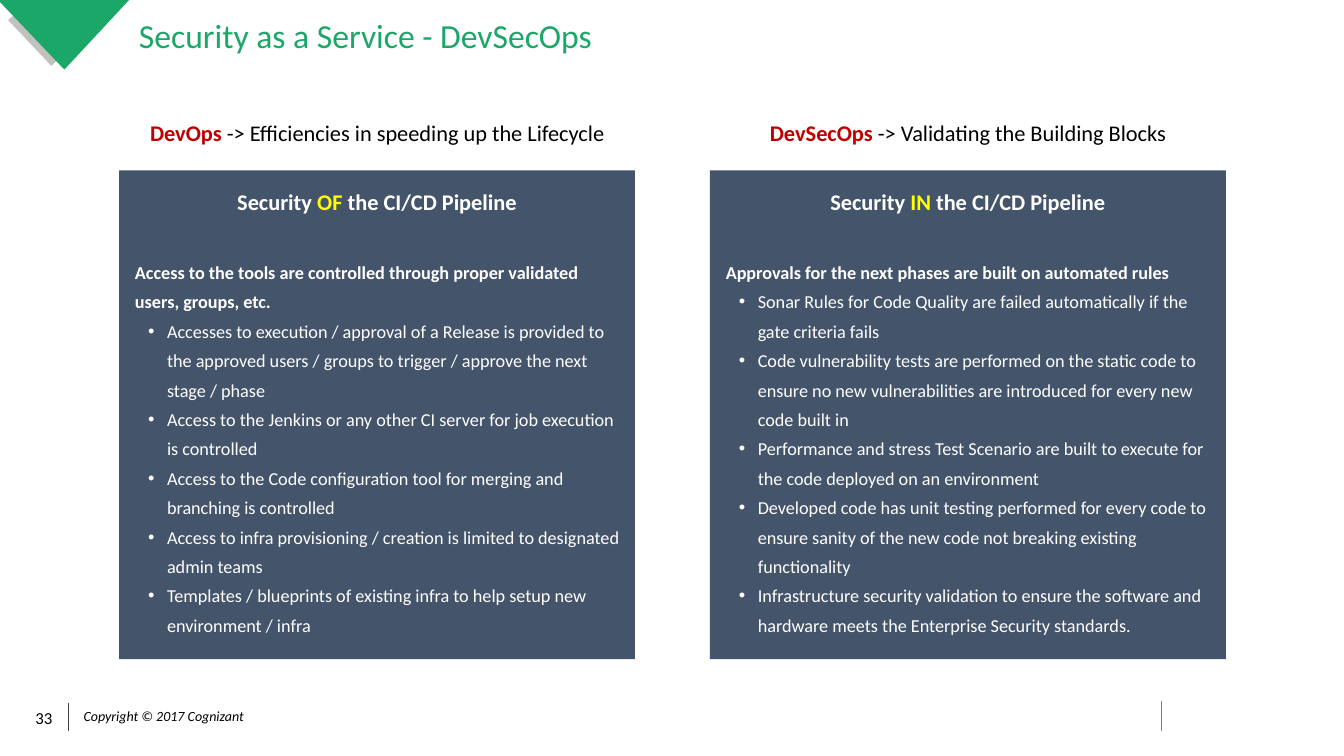
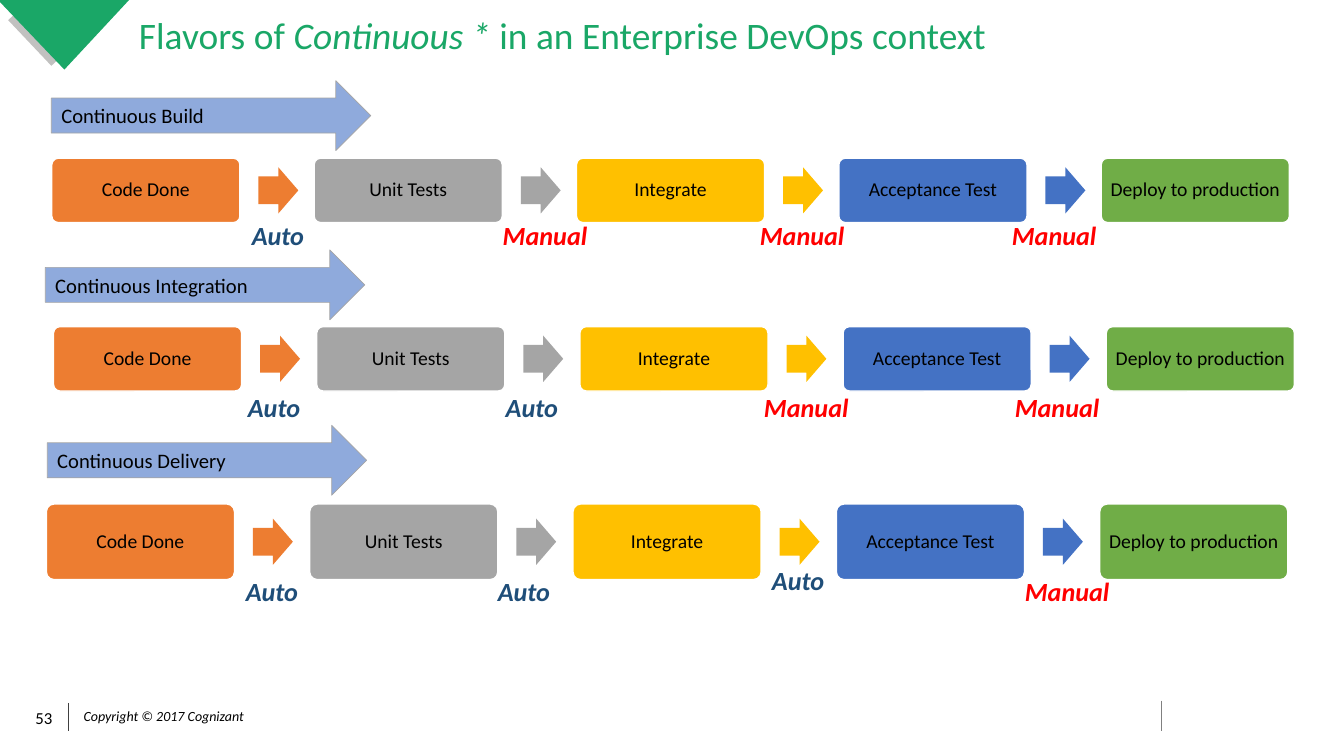
from dataclasses import dataclass

from lxml import etree
from pptx import Presentation
from pptx import util as u
from pptx.dml.color import RGBColor
from pptx.enum import shapes, text
from pptx.oxml.ns import qn

Pt = u.Pt
SHAPE = shapes.MSO_SHAPE
ALIGN = text.PP_ALIGN
ANCHOR = text.MSO_ANCHOR


@dataclass(frozen=True)
class Theme:
    font: str = "Calibri"
    # Colours
    green: str = "1AA767"
    shade: str = "C1C1C0"
    black: str = "000000"
    white: str = "FFFFFF"
    panel: str = "44546A"
    yellow: str = "FFFF00"
    crimson: str = "C00000"
    banner: str = "8FAADC"
    banner_line: str = "A5A5A5"
    auto: str = "1F4E79"
    manual: str = "FF0000"
    rule_left: str = "404040"
    rule_right: str = "808080"
    # Type sizes
    title: float = 24
    title_large: float = 26.7
    heading: float = 16
    body: float = 13
    stage: float = 14
    banner_text: float = 14.7
    label: float = 18.7
    page: float = 12
    copyright: float = 10


T = Theme()

STAGES = [
    ("Code Done", "ED7D31"),
    ("Unit Tests", "A5A5A5"),
    ("Integrate", "FFC000"),
    ("Acceptance Test", "4472C4"),
    ("Deploy to production", "70AD47"),
]

PANELS = [
    (85, "DevOps", " -> Efficiencies in speeding up the Lifecycle", "OF",
     "Access to the tools are controlled through proper validated users, groups, etc.",
     ["Accesses to execution / approval of a Release is provided to the approved "
      "users / groups to trigger / approve the next stage / phase",
      "Access to the Jenkins or any other CI server for job execution is controlled",
      "Access to the Code configuration tool for merging and branching is controlled",
      "Access to infra provisioning / creation is limited to designated admin teams",
      "Templates / blueprints of existing infra to help setup new environment / infra"]),
    (507, "DevSecOps", " -> Validating the Building Blocks", "IN",
     "Approvals for the next phases are built on automated rules",
     ["Sonar Rules for Code Quality are failed automatically if the gate criteria fails",
      "Code vulnerability tests are performed on the static code to ensure no new "
      "vulnerabilities are introduced for every new code built in",
      "Performance and stress Test Scenario are built to execute for the code "
      "deployed on an environment",
      "Developed code has unit testing performed for every code to ensure sanity of "
      "the new code not breaking existing functionality",
      "Infrastructure security validation to ensure the software and hardware meets "
      "the Enterprise Security standards."]),
]

# Banner text and corner; stage row left, top, height and pitch; labels with their corners
FLOWS = [
    ("Continuous Build", (36.7, 57.6), (37, 113, 46, 187.4),
     [("Auto", 172.8, 153.4), ("Manual", 352, 153.4),
      ("Manual", 535.7, 153.4), ("Manual", 715.7, 153.4)]),
    ("Continuous Integration", (32.4, 178.5), (38.2, 233.3, 46, 188),
     [("Auto", 170, 275.8), ("Auto", 354.2, 275.8),
      ("Manual", 538.6, 275.8), ("Manual", 717.8, 275.8)]),
    ("Continuous Delivery", (33.8, 303.8), (33.1, 360, 54, 188.1),
     [("Auto", 168.5, 407.5), ("Auto", 348.5, 407.5),
      ("Auto", 544.3, 399.6), ("Manual", 725, 407.5)]),
]


def rgb(color):
    return RGBColor.from_string(color)


# Text
def write(tf, content, *, size, color=T.black, bold=False, italic=False,
          align=ALIGN.LEFT, spacing=None, before=None, left=0, hanging=0, bullet=None):
    """Add a paragraph; content is a string or (text, overrides) pairs."""
    p = tf.paragraphs[0]
    if p.runs:
        p = tf.add_paragraph()
    pPr = p._p.get_or_add_pPr()
    if left:
        pPr.set("marL", str(Pt(left)))
        pPr.set("indent", str(Pt(-hanging)))
    if bullet:
        etree.SubElement(pPr, qn("a:buFont")).set("typeface", "Arial")
        etree.SubElement(pPr, qn("a:buChar")).set("char", bullet)
    p.alignment = align
    if spacing:
        p.line_spacing = spacing
    if before:
        p.space_before = Pt(before)
    for words, changes in [(content, {})] if isinstance(content, str) else content:
        look = {"color": color, "bold": bold, "italic": italic, **changes}
        r = p.add_run()
        r.text = words
        r.font.name = T.font
        r.font.size = Pt(size)
        r.font.bold = look["bold"]
        r.font.italic = look["italic"]
        r.font.color.rgb = rgb(look["color"])


def set_frame(tf, anchor, inset):
    tf.word_wrap = True
    tf.vertical_anchor = anchor
    tf.margin_left = tf.margin_right = Pt(inset[0])
    tf.margin_top = tf.margin_bottom = Pt(inset[1])


def add_text(s, box, content, *, anchor=ANCHOR.TOP, inset=(7.2, 3.6), **fmt):
    tf = s.shapes.add_textbox(*map(Pt, box)).text_frame
    set_frame(tf, anchor, inset)
    write(tf, content, **fmt)


# Shapes
def paint(sp, fill, line=None, width=1):
    sp.shadow.inherit = False
    sp.fill.solid()
    sp.fill.fore_color.rgb = rgb(fill)
    if line:
        sp.line.color.rgb = rgb(line)
        sp.line.width = Pt(width)
    else:
        sp.line.fill.background()


def add_shape(s, kind, box, fill, *, line=None, width=1, adjust=(),
              anchor=ANCHOR.MIDDLE, inset=(7.2, 3.6)):
    sp = s.shapes.add_shape(kind, *map(Pt, box))
    paint(sp, fill, line, width)
    for i, value in enumerate(adjust):
        sp.adjustments[i] = value
    set_frame(sp.text_frame, anchor, inset)
    return sp


def add_polygon(s, points, fill):
    corners = [(Pt(x), Pt(y)) for x, y in points]
    builder = s.shapes.build_freeform(*corners[0], scale=1.0)
    builder.add_line_segments(corners[1:], close=True)
    paint(builder.convert_to_shape(), fill)


def add_rule(s, x, top, bottom, color):
    line = s.shapes.add_connector(shapes.MSO_CONNECTOR.STRAIGHT,
                                  Pt(x), Pt(top), Pt(x), Pt(bottom))
    line.line.color.rgb = rgb(color)
    line.line.width = Pt(0.5)
    etree.SubElement(line._element.spPr, qn("a:effectLst"))


# Shared slide frame
def add_slide(prs, number, title, size):
    s = prs.slides.add_slide(prs.slide_layouts[6])
    add_rule(s, 48.5, 502, 522, T.rule_left)
    add_rule(s, 829.5, 500.5, 522.5, T.rule_right)
    add_polygon(s, [(43.2, 41), (36.7, 47), (5.8, 14.4), (12.2, 8.6)], T.shade)
    add_polygon(s, [(46, 49.7), (92.2, 0), (-1.4, 0)], T.green)
    add_text(s, (52, 503.5, 130, 16.5), "Copyright © 2017 Cognizant", size=T.copyright,
             italic=True, align=ALIGN.CENTER, anchor=ANCHOR.MIDDLE, inset=(4, 2))
    add_text(s, (11.5, 502, 39.6, 21.6), str(number), size=T.page,
             align=ALIGN.CENTER, anchor=ANCHOR.MIDDLE, inset=(0, 0))
    add_text(s, (92.2, 6.5, 847.4, 40.3), title, size=size, color=T.green,
             spacing=0.9, anchor=ANCHOR.MIDDLE)
    return s


# Heading with a panel of bullets below it
def add_panel(s, left, term, claim, word, lead, points):
    add_text(s, (left - 2, 81.4, 373, 26.6),
             [(term, {"color": T.crimson, "bold": True}), (claim, {})],
             size=T.heading, align=ALIGN.CENTER)
    tf = add_shape(s, SHAPE.RECTANGLE, (left, 121.7, 368.6, 349.2), T.panel,
                   anchor=ANCHOR.TOP).text_frame
    write(tf, [("Security ", {}), (word, {"color": T.yellow}), (" the CI/CD Pipeline", {})],
          size=T.heading, color=T.white, bold=True, align=ALIGN.CENTER, spacing=Pt(28))
    body = {"size": T.body, "color": T.white, "spacing": Pt(21)}
    write(tf, lead, bold=True, before=28, left=4.3, **body)
    for point in points:
        write(tf, point, left=27.2, hanging=13.5, bullet="•", **body)


# Banner, row of stages with arrows between them, and labels under the arrows
def add_flow(s, name, corner, row, labels):
    banner = add_shape(s, SHAPE.RIGHT_ARROW, (*corner, 228.2, 50), T.banner,
                       line=T.banner_line, width=0.5)
    write(banner.text_frame, name, size=T.banner_text)
    left, top, height, pitch = row
    for i, (stage, color) in enumerate(STAGES):
        x = left + i * pitch
        box = add_shape(s, SHAPE.ROUNDED_RECTANGLE, (x, top, 134.4, height), color,
                        line=T.white, adjust=[0.1], inset=(2, 4))
        write(box.text_frame, stage, size=T.stage, align=ALIGN.CENTER, spacing=0.9)
        if i < len(STAGES) - 1:
            add_shape(s, SHAPE.RIGHT_ARROW, (x + 147.6, top + height / 2 - 16.5, 28.5, 33),
                      color, adjust=[0.6, 0.5])
    for label, x, y in labels:
        add_text(s, (x, y, 80, 30), label, size=T.label, bold=True, italic=True,
                 color=T.auto if label == "Auto" else T.manual)


def main():
    prs = Presentation()
    prs.slide_width, prs.slide_height = Pt(960), Pt(540)

    # Security of and in the pipeline
    s = add_slide(prs, 33, "Security as a Service - DevSecOps", T.title)
    for panel in PANELS:
        add_panel(s, *panel)

    # Build, integration and delivery flows
    s = add_slide(prs, 53, [("Flavors of ", {}), ("Continuous *", {"italic": True}),
                            (" in an Enterprise DevOps context", {})], T.title_large)
    for flow in FLOWS:
        add_flow(s, *flow)

    prs.save("out.pptx")


if __name__ == "__main__":
    main()
